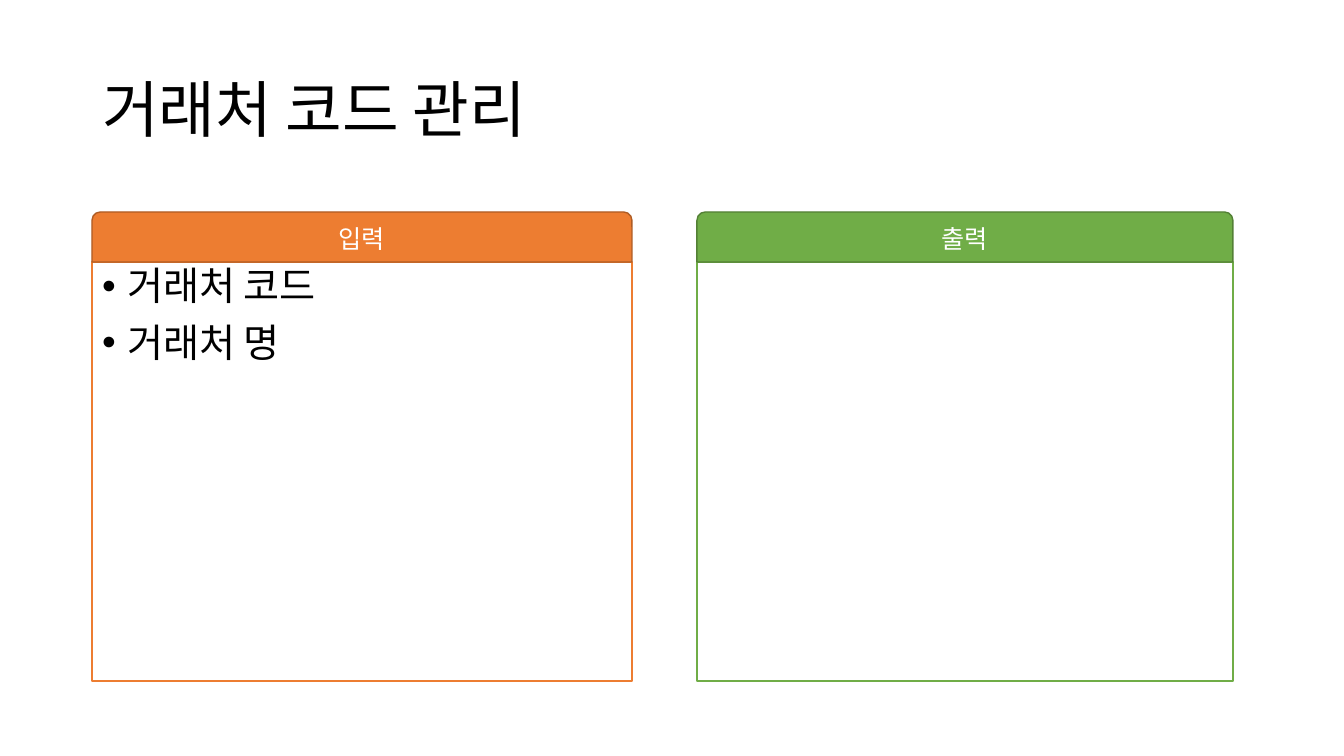
from pptx import Presentation
from pptx.dml.color import RGBColor
from pptx.enum.shapes import MSO_SHAPE as SHAPE
from pptx.enum.text import MSO_ANCHOR as ANCHOR, MSO_AUTO_SIZE as AUTO, PP_ALIGN as ALIGN
from pptx.oxml.ns import qn
from pptx.util import Pt
from lxml.etree import SubElement

FONT = "Noto Sans CJK KR"
BLACK = RGBColor(0x00, 0x00, 0x00)
WHITE = RGBColor(0xFF, 0xFF, 0xFF)
ORANGE = RGBColor(0xED, 0x7D, 0x31)
DARK_ORANGE = RGBColor(0xAF, 0x5C, 0x24)
GREEN = RGBColor(0x70, 0xAD, 0x47)
DARK_GREEN = RGBColor(0x53, 0x80, 0x35)

SLIDE_W, SLIDE_H = 1344, 756
HEADER_H = 50
INDENT = 25


def px(n):
    return round(n * 914400 / 100.8)


def place(sp, x, y, w, h):
    sp.left, sp.top, sp.width, sp.height = px(x), px(y), px(w), px(h)


def add_run(p, text, size, color):
    r = p.add_run()
    r.text = text
    r.font.size = Pt(size)
    r.font.name = FONT
    r.font.color.rgb = color
    SubElement(r.font._element, qn("a:ea")).set("typeface", FONT)


def paint(sp, fill, line):
    sp.fill.solid()
    sp.fill.fore_color.rgb = fill
    sp.line.color.rgb = line
    sp.line.width = Pt(1)


def add_shape(s, kind, x, y, w, h):
    sp = s.shapes.add_shape(kind, px(x), px(y), px(w), px(h))
    sp.shadow.inherit = False
    return sp


def add_title(s, text, x, y, w, h):
    sp = s.shapes.title
    place(sp, x, y, w, h)
    tf = sp.text_frame
    tf.auto_size = AUTO.NONE
    tf.vertical_anchor = ANCHOR.MIDDLE
    p = tf.paragraphs[0]
    p.alignment = ALIGN.LEFT
    p.line_spacing = 0.9
    add_run(p, text, 44, BLACK)


def fill_list(sp, items):
    tf = sp.text_frame
    tf.auto_size = AUTO.NONE
    for i, item in enumerate(items):
        p = tf.add_paragraph() if i else tf.paragraphs[0]
        p.line_spacing = 0.9
        p.space_before = Pt(10)
        pPr = p._p.get_or_add_pPr()
        pPr.set("marL", str(px(INDENT)))
        pPr.set("indent", str(-px(INDENT)))
        SubElement(pPr, qn("a:buFont")).set("typeface", "Arial")
        SubElement(pPr, qn("a:buChar")).set("char", "•")
        add_run(p, item, 28, BLACK)


def add_panel(s, heading, color, edge, x, y, w, h, body=None, items=()):
    # Framed area below the header
    frame = (x, y + HEADER_H, w, h - HEADER_H)
    if body is None:
        body = add_shape(s, SHAPE.RECTANGLE, *frame)
    else:
        place(body, *frame)
        fill_list(body, items)
    paint(body, WHITE, color)

    # Header with rounded top corners
    header = add_shape(s, SHAPE.ROUND_2_SAME_RECTANGLE, x, y, w, HEADER_H)
    paint(header, color, edge)
    tf = header.text_frame
    tf.vertical_anchor = ANCHOR.MIDDLE
    p = tf.paragraphs[0]
    p.alignment = ALIGN.CENTER
    add_run(p, heading, 18, WHITE)


def main():
    prs = Presentation()
    prs.slide_width, prs.slide_height = px(SLIDE_W), px(SLIDE_H)
    s = prs.slides.add_slide(prs.slide_layouts[1])

    add_title(s, "거래처 코드 관리", 92, 40, 1159, 146)
    # Input and output panels
    add_panel(s, "입력", ORANGE, DARK_ORANGE, 92, 212, 540, 469,
              s.placeholders[1], ["거래처 코드", "거래처 명"])
    add_panel(s, "출력", GREEN, DARK_GREEN, 697, 212, 536, 469)

    prs.save("out.pptx")


if __name__ == "__main__":
    main()
